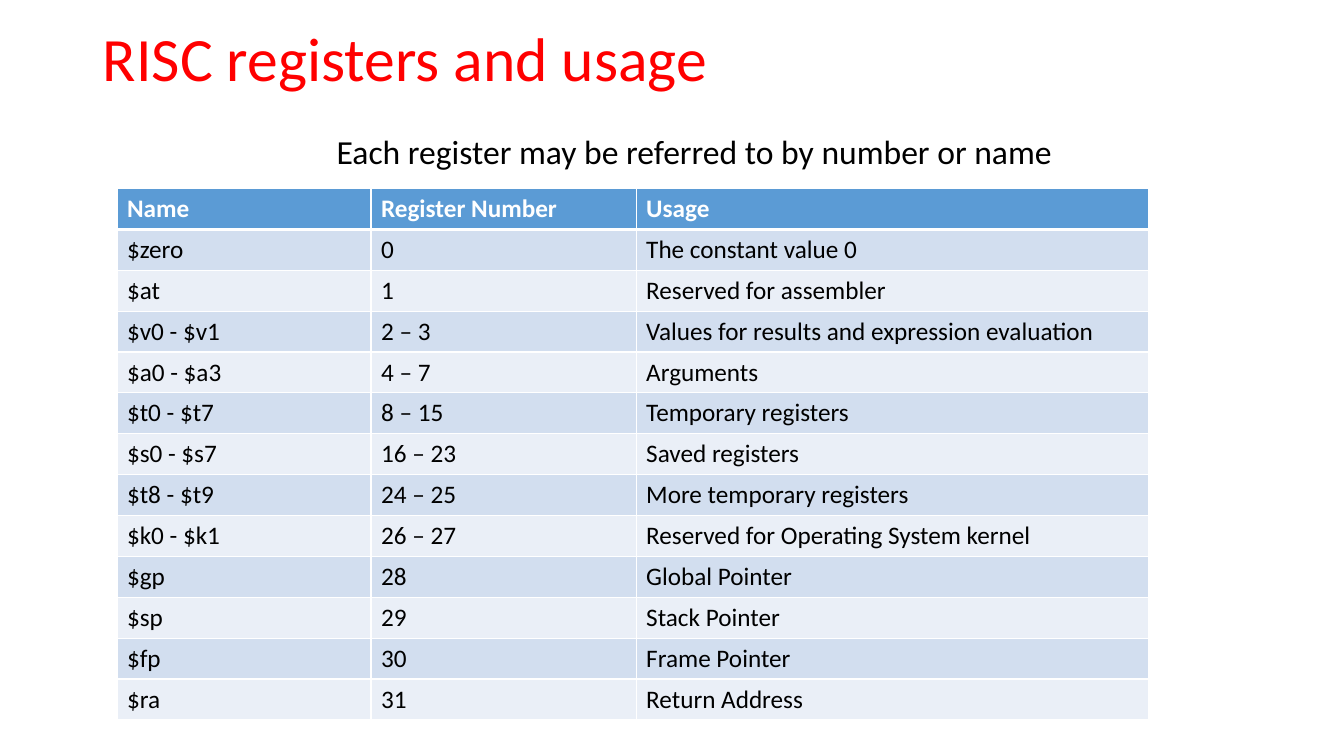
from dataclasses import dataclass
from typing import NamedTuple

from lxml import etree
from pptx import Presentation
from pptx.dml.color import RGBColor
from pptx.enum.text import MSO_ANCHOR, MSO_AUTO_SIZE, PP_ALIGN
from pptx.oxml.ns import qn
from pptx.util import Inches, Pt

LEFT = PP_ALIGN.LEFT
MIDDLE = MSO_ANCHOR.MIDDLE
TOP = MSO_ANCHOR.TOP
NO_AUTOFIT = MSO_AUTO_SIZE.NONE
TITLE_ONLY = 5


@dataclass(frozen=True)
class Theme:
    font: str = "Calibri"
    title: str = "FF0000"
    text: str = "000000"
    light: str = "FFFFFF"
    header: str = "5B9BD5"
    bands: tuple[str, str] = ("D2DEEF", "EAEFF7")
    title_size: int = 44
    subtitle_size: int = 24
    table_size: int = 18
    rule: int = 1
    header_rule: int = 3


class Box(NamedTuple):
    left: float
    top: float
    width: float
    height: float


class Register(NamedTuple):
    name: str
    number: str
    usage: str


THEME = Theme()
SLIDE_WIDTH, SLIDE_HEIGHT = 13.33, 7.5
TITLE_BOX = Box(0.92, 0.04, 11.5, 1.14)
SUBTITLE_BOX = Box(3.24, 1.29, 9.25, 0.5)
TABLE_BOX = Box(1.16, 1.87, 10.23, 5.2)
COLUMN_WIDTHS = (2.52, 2.63, 5.08)
HEADER = Register("Name", "Register Number", "Usage")
REGISTERS = (
    Register("$zero", "0", "The constant value 0"),
    Register("$at", "1", "Reserved for assembler"),
    Register("$v0 - $v1", "2 – 3", "Values for results and expression evaluation"),
    Register("$a0 - $a3", "4 – 7", "Arguments"),
    Register("$t0 - $t7", "8 – 15", "Temporary registers"),
    Register("$s0 - $s7", "16 – 23", "Saved registers"),
    Register("$t8 - $t9", "24 – 25", "More temporary registers"),
    Register("$k0 - $k1", "26 – 27", "Reserved for Operating System kernel"),
    Register("$gp", "28", "Global Pointer"),
    Register("$sp", "29", "Stack Pointer"),
    Register("$fp", "30", "Frame Pointer"),
    Register("$ra", "31", "Return Address"),
)


def write_text(frame, text: str, *, size: int, color: str = THEME.text,
               bold: bool = False, line_spacing: float = 1.0) -> None:
    frame.text = text
    paragraph = frame.paragraphs[0]
    paragraph.alignment = LEFT
    paragraph.line_spacing = line_spacing
    font = paragraph.runs[0].font
    font.name = THEME.font
    font.size = Pt(size)
    font.bold = bold
    font.color.rgb = RGBColor.from_string(color)


def place_heading(shape, box: Box, text: str, *, anchor, size: int, color: str) -> None:
    shape.left, shape.top, shape.width, shape.height = map(Inches, box)
    frame = shape.text_frame
    frame.word_wrap = True
    frame.auto_size = NO_AUTOFIT
    frame.vertical_anchor = anchor
    write_text(frame, text, size=size, color=color, line_spacing=0.9)


def add_borders(cell, bottom: int) -> None:
    properties = cell._tc.get_or_add_tcPr()
    widths = {"a:lnL": THEME.rule, "a:lnR": THEME.rule, "a:lnT": THEME.rule, "a:lnB": bottom}
    for position, (tag, width) in enumerate(widths.items()):
        line = etree.Element(qn(tag), w=str(Pt(width)))
        fill = etree.SubElement(line, qn("a:solidFill"))
        etree.SubElement(fill, qn("a:srgbClr"), val=THEME.light)
        properties.insert(position, line)


def add_register_table(slide) -> None:
    rows = (HEADER, *REGISTERS)
    table = slide.shapes.add_table(len(rows), len(HEADER), *map(Inches, TABLE_BOX)).table
    for column, width in zip(table.columns, COLUMN_WIDTHS):
        column.width = Inches(width)
    for row_index, register in enumerate(rows):
        is_header = row_index == 0
        fill = THEME.header if is_header else THEME.bands[(row_index - 1) % 2]
        table.rows[row_index].height = Inches(TABLE_BOX.height / len(rows))
        for column_index, text in enumerate(register):
            cell = table.cell(row_index, column_index)
            cell.fill.solid()
            cell.fill.fore_color.rgb = RGBColor.from_string(fill)
            add_borders(cell, THEME.header_rule if is_header else THEME.rule)
            write_text(cell.text_frame, text, size=THEME.table_size, bold=is_header,
                       color=THEME.light if is_header else THEME.text)


def main() -> None:
    presentation = Presentation()
    presentation.slide_width = Inches(SLIDE_WIDTH)
    presentation.slide_height = Inches(SLIDE_HEIGHT)
    slide = presentation.slides.add_slide(presentation.slide_layouts[TITLE_ONLY])
    place_heading(slide.shapes.title, TITLE_BOX, "RISC registers and usage",
                  anchor=MIDDLE, size=THEME.title_size, color=THEME.title)
    subtitle = slide.shapes.add_textbox(*map(Inches, SUBTITLE_BOX))
    place_heading(subtitle, SUBTITLE_BOX, "Each register may be referred to by number or name",
                  anchor=TOP, size=THEME.subtitle_size, color=THEME.text)
    add_register_table(slide)
    presentation.save("out.pptx")


main()
